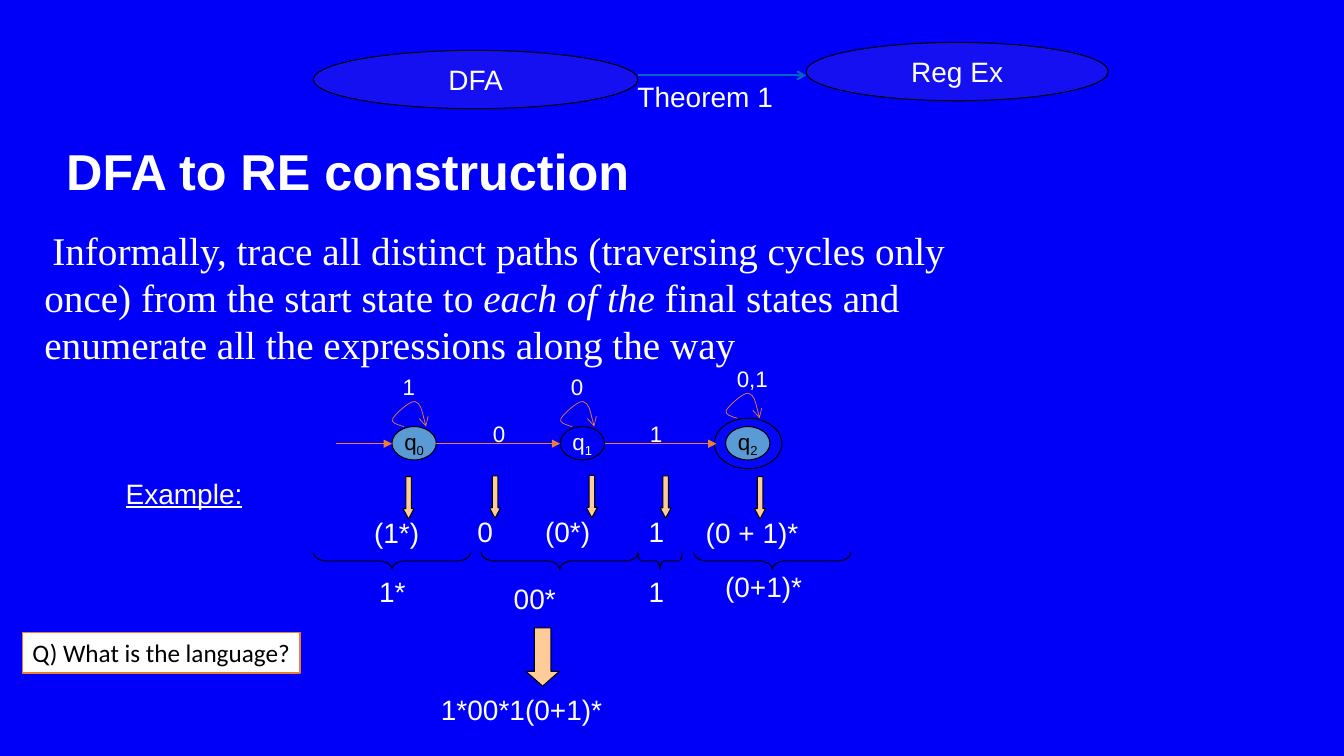
from lxml import etree
from pptx import Presentation
from pptx.dml.color import RGBColor
from pptx.enum.shapes import MSO_CONNECTOR as Link, MSO_SHAPE as Preset
from pptx.enum.text import MSO_ANCHOR as Anchor, MSO_AUTO_SIZE as Fit, PP_ALIGN as Align
from pptx.oxml.ns import qn
from pptx.util import Cm, Pt

COLORS = {
    "back": "0000FA", "white": "FFFFFF", "black": "000000", "peach": "FFCC99",
    "state": "5B9BD5", "orange": "ED7D31", "theorem": "0563C1",
}
# Control points of a loop above a state, relative to its top left corner
LOOP = [(0.33, 0.66), (0.15, 0.61), (0, 0.56), (0.05, 0.46), (0.1, 0.36),
        (0.48, 0), (0.61, 0.03), (0.76, 0.08), (0.81, 0.36), (0.89, 0.66)]


class AutomatonSlide:
    font = "Arial"

    def __init__(self, deck):
        self.slide = deck.slides.add_slide(deck.slide_layouts[6])
        self.shapes = self.slide.shapes
        self.slide.background.fill.solid()
        self.slide.background.fill.fore_color.rgb = self.rgb("back")

    def rgb(self, color):
        return RGBColor.from_string(COLORS[color])

    def style(self, paragraph, size, color="white", font=None):
        paragraph.font.size = Pt(size)
        paragraph.font.name = font or self.font
        paragraph.font.color.rgb = self.rgb(color)

    def stroke(self, item, color, width, arrow=None):
        item.line.color.rgb = self.rgb(color)
        item.line.width = Pt(width)
        if arrow:
            etree.SubElement(item.line._get_or_add_ln(), qn("a:tailEnd"), type=arrow)

    def text(self, words, left, top, width, height, size=20, wrap=False):
        box = self.shapes.add_textbox(Cm(left), Cm(top), Cm(width), Cm(height))
        box.text_frame.word_wrap = wrap
        box.text_frame.auto_size = Fit.NONE if wrap else Fit.SHAPE_TO_FIT_TEXT
        paragraph = box.text_frame.paragraphs[0]
        if words:
            paragraph.text = words
        self.style(paragraph, size)
        return paragraph

    def label(self, words, center, top, width=0.85, size=20):
        height = 1.12 if size == 20 else 0.94
        paragraph = self.text(words, center - width / 2, top, width, height, size)
        paragraph.alignment = Align.CENTER
        return paragraph

    def shape(self, preset, left, top, width, height, fill=None, alpha=None,
              line="black", weight=0.75, adjust=()):
        item = self.shapes.add_shape(preset, Cm(left), Cm(top), Cm(width), Cm(height))
        item.shadow.inherit = False
        if fill:
            item.fill.solid()
            item.fill.fore_color.rgb = self.rgb(fill)
        else:
            item.fill.background()
        if alpha:
            tint = item._element.spPr.find(".//" + qn("a:srgbClr"))
            etree.SubElement(tint, qn("a:alpha"), val=str(alpha * 1000))
        self.stroke(item, line, weight)
        for index, value in enumerate(adjust):
            item.adjustments[index] = value
        return item

    def ellipse(self, words, left, top, width, height, size=20, color="white", sub="", **look):
        oval = self.shape(Preset.OVAL, left, top, width, height, **look)
        frame = oval.text_frame
        frame.word_wrap = False
        frame.vertical_anchor = Anchor.MIDDLE
        paragraph = frame.paragraphs[0]
        paragraph.text = words
        paragraph.alignment = Align.CENTER
        self.style(paragraph, size, color)
        if sub:
            index = paragraph.add_run()
            index.text = sub
            index._r.get_or_add_rPr().set("baseline", "-25000")

    def arrow(self, start, end, y, color="orange", width=0.5, head="triangle"):
        link = self.shapes.add_connector(Link.STRAIGHT, Cm(start), Cm(y), Cm(end), Cm(y))
        self.stroke(link, color, width, head)
        etree.SubElement(link._element.spPr, qn("a:effectLst"))

    def loop(self, left, bottom, words, label_width):
        points = [(Cm(left - 0.03 + x), Cm(bottom - 0.66 + y)) for x, y in LOOP]
        builder = self.shapes.build_freeform(*points[0])
        builder.add_line_segments(points[1:], close=False)
        curve = builder.convert_to_shape()
        curve.shadow.inherit = False
        curve.fill.background()
        self.stroke(curve, "orange", 0.5, "arrow")
        # Each three line segments become one Bézier curve
        segments = list(curve._element.iter(qn("a:lnTo")))
        for first in range(0, len(segments), 3):
            bezier = etree.SubElement(segments[first].getparent(), qn("a:cubicBezTo"))
            for segment in segments[first:first + 3]:
                bezier.append(segment[0])
                segment.getparent().remove(segment)
        self.label(words, left + label_width / 2, bottom - 1.47, label_width, 16)

    def down_arrow(self, left, top, width, height, head):
        self.shape(Preset.DOWN_ARROW, left, top, width, height, "peach", adjust=(0.5, head))

    def brace(self, center, span, top=13.92, depth=0.43):
        brace = self.shape(Preset.RIGHT_BRACE, center - depth / 2, top + (depth - span) / 2,
                           depth, span, adjust=(span / depth / 12, 0.5))
        brace.rotation = 90


def main():
    deck = Presentation()
    deck.slide_width, deck.slide_height = Cm(33.88), Cm(19.05)
    page = AutomatonSlide(deck)

    # Theorem: from DFA to regular expression
    page.ellipse("Reg Ex", 20.32, 1.07, 7.62, 1.47, fill="peach", alpha=8)
    page.ellipse("DFA", 7.9, 1.27, 8.18, 1.47, fill="peach", alpha=8)
    page.arrow(16.08, 20.32, 1.9, "theorem", 1.5, "arrow")
    page.label("Theorem 1", 17.78, 1.87, 4.1)

    # Title and explanation
    title = page.text("DFA to RE construction", 1.42, 3.37, 16.59, 2.03, 36, wrap=True)
    title.font.bold = True
    title.line_spacing = 0.9
    title._parent.vertical_anchor = Anchor.MIDDLE
    method = page.text("", 0.87, 5.57, 25.43, 3.81, 28, wrap=True)
    page.style(method, 28, font="Times New Roman")
    method._p.get_or_add_pPr().set("indent", str(Cm(0.2)))
    for words, italic in (
        ("Informally, trace all distinct paths (traversing cycles only once) "
         "from the start state to ", False),
        ("each of the ", True),
        ("final states and enumerate all the expressions along the way", False),
    ):
        run = method.add_run()
        run.text = words
        run.font.italic = italic
    page.label("Example:", 4.64, 11.87, 3.6).font.underline = True

    # Automaton: states, loops and transitions
    state_top = 10.75
    page.ellipse("", 18.01, 10.54, 1.7, 1.27, fill="state", alpha=5)
    for index, (left, fill, color, loop_bottom, symbol, width) in enumerate((
        (9.88, "state", "black", state_top, "1", 0.85),
        (14.12, None, "white", state_top, "0", 0.85),
        (18.29, "state", "black", 10.54, "0,1", 1.35),
    )):
        page.ellipse("q", left, state_top, 1.12, 0.84, 16, color, str(index), fill=fill)
        page.loop(left, loop_bottom, symbol, width)
    for start, end in ((8.46, 9.88), (11, 14.12), (15.24, 18.06)):
        page.arrow(start, end, 11.18)
    page.label("0", 12.58, 10.46, size=16)
    page.label("1", 16.54, 10.45, size=16)

    # Expression for each step
    for arrow_left, top, words, center, width in (
        (10.16, 12.01, "(1*)", 10, 1.7),
        (12.34, 11.99, "0", 12.23, 0.95),
        (14.78, 11.98, "(0*)", 14.31, 1.7),
        (16.64, 11.99, "1", 16.55, 0.95),
        (19.02, 12.01, "(0 + 1)*", 18.96, 2.95),
    ):
        page.down_arrow(arrow_left, top, 0.28, 1.07, 0.94)
        page.label(words, center, top + 0.85, width)

    # Braces that group the steps
    for brace_center, span, words, center, top, width in (
        (9.88, 3.96, "1*", 9.89, 14.35, 1.3),
        (14.11, 3.96, "00*", 13.48, 14.53, 1.7),
        (16.64, 1.12, "1", 16.55, 14.35, 0.95),
        (19.47, 3.96, "(0+1)*", 19.25, 14.22, 2.65),
    ):
        page.brace(brace_center, span)
        page.label(words, center, top, width)

    # Resulting expression
    page.down_arrow(13.26, 15.82, 0.84, 1.47, 0.44)
    page.label("1*00*1(0+1)*", 13.15, 17.32, 4.8)

    # Question
    question = page.shape(Preset.RECTANGLE, 0.57, 15.94, 6.99, 1.02, "white",
                          line="orange", weight=1).text_frame
    question.word_wrap = False
    question.vertical_anchor = Anchor.MIDDLE
    question.text = "Q) What is the language?"
    question.paragraphs[0].alignment = Align.LEFT
    page.style(question.paragraphs[0], 18, "black", "Calibri")

    deck.save("out.pptx")


if __name__ == "__main__":
    main()
